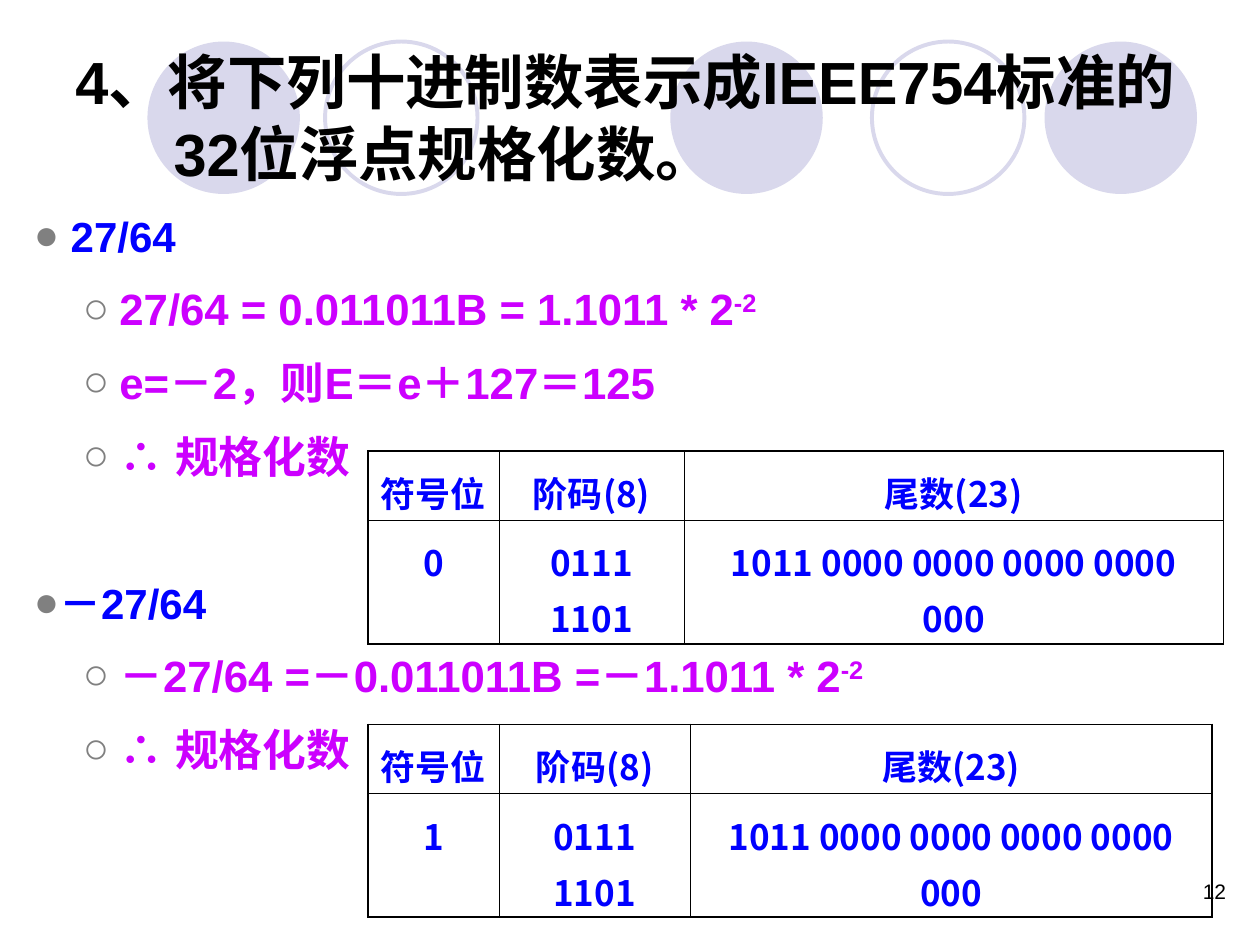
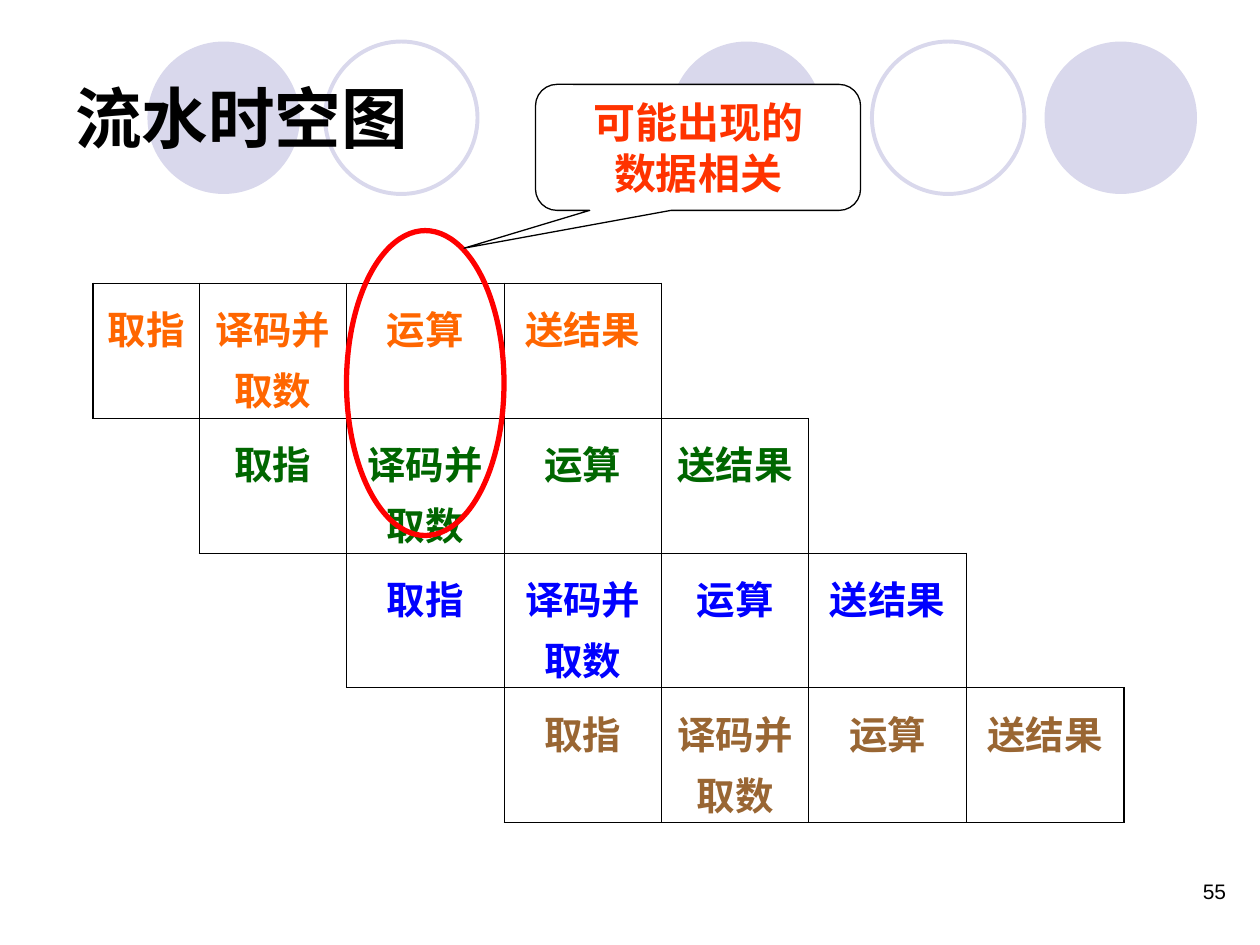
from dataclasses import dataclass
from typing import Optional

from lxml import etree
from pptx import Presentation
from pptx.dml.color import RGBColor
from pptx.enum.shapes import MSO_SHAPE
from pptx.enum.text import MSO_ANCHOR, PP_ALIGN
from pptx.oxml.ns import qn
from pptx.util import Inches, Pt

OVAL = MSO_SHAPE.OVAL
BALLOON = MSO_SHAPE.ROUNDED_RECTANGULAR_CALLOUT
MIDDLE = MSO_ANCHOR.MIDDLE
CENTER = PP_ALIGN.CENTER
RIGHT = PP_ALIGN.RIGHT

BLACK = RGBColor(0x00, 0x00, 0x00)
WHITE = RGBColor(0xFF, 0xFF, 0xFF)
LILAC = RGBColor(0xD9, 0xD8, 0xEC)
GRAY = RGBColor(0x80, 0x80, 0x80)
BLUE = RGBColor(0x00, 0x00, 0xFF)
PURPLE = RGBColor(0xCC, 0x00, 0xFF)
ORANGE = RGBColor(0xFF, 0x66, 0x00)
GREEN = RGBColor(0x00, 0x66, 0x00)
BROWN = RGBColor(0x99, 0x66, 0x33)
RED = RGBColor(0xFF, 0x00, 0x00)
SCARLET = RGBColor(0xFF, 0x33, 0x00)

LATIN = "Arial"
HAN = "Noto Sans CJK SC"
THICK, THIN = 1.08, 0.45
STAGES = ["取指", "译码并取数", "运算", "送结果"]


@dataclass
class Face:
    size: float
    color: RGBColor
    bold: bool = True
    latin: str = LATIN
    asian: str = LATIN


@dataclass
class Box:
    left: float
    top: float
    width: float
    height: float

    def place(self) -> tuple:
        return tuple(Inches(v) for v in (self.left, self.top, self.width, self.height))


@dataclass
class Level:
    face: Face
    mark: str
    margin: float
    indent: float
    space: float


@dataclass
class Item:
    level: Level
    text: str
    power: str = ""
    before: Optional[float] = None


@dataclass
class Cell:
    text: str
    face: Face


@dataclass
class Grid:
    left: float
    top: float
    widths: list
    heights: list
    rows: list
    inset: float
    space: float
    fill: Optional[RGBColor] = None


@dataclass
class Ring:
    left: float
    solid: bool


RINGS = [Ring(5.32, True), Ring(8.29, True), Ring(1.17, True),
         Ring(6.92, False), Ring(2.58, False)]
POINT = Level(Face(24, BLUE), "●", 0.19, -0.19, 4.5)
STEP = Level(Face(25, PURPLE), "○", 0.68, -0.29, 4.6)
ITEMS = [
    Item(POINT, " 27/64", before=0),
    Item(STEP, "27/64 = 0.011011B = 1.1011 * 2", "-2"),
    Item(STEP, "e=－2，则E＝e＋127＝125"),
    Item(STEP, "∴ 规格化数"),
    Item(POINT, "－27/64", before=47),
    Item(STEP, "－27/64 =－0.011011B =－1.1011 * 2", "-2"),
    Item(STEP, "∴ 规格化数"),
]


def add_run(para, text: str, face: Face, raised: bool = False) -> None:
    run = para.add_run()
    run.text = text
    font = run.font
    font.size = Pt(face.size)
    font.bold = face.bold
    font.color.rgb = face.color
    font.name = face.latin
    props = run._r.get_or_add_rPr()
    etree.SubElement(props, qn("a:ea")).set("typeface", face.asian)
    if raised:
        props.set("baseline", "30000")


def set_gaps(para, before: float, after: float) -> None:
    para.line_spacing = 1.1
    para.space_before = Pt(before)
    para.space_after = Pt(after)


def set_indent(para, margin: float, indent: float):
    props = para._p.get_or_add_pPr()
    props.set("marL", str(Inches(margin)))
    props.set("indent", str(Inches(indent)))
    return props


def add_frame(slide, box: Box):
    frame = slide.shapes.add_textbox(*box.place()).text_frame
    frame.word_wrap = True
    return frame


def add_form(slide, kind, box: Box, fill: Optional[RGBColor],
             line: Optional[RGBColor], width: float = 0):
    form = slide.shapes.add_shape(kind, *box.place())
    form.shadow.inherit = False
    if fill is None:
        form.fill.background()
    else:
        form.fill.solid()
        form.fill.fore_color.rgb = fill
    if line is None:
        form.line.fill.background()
    else:
        form.line.color.rgb = line
        form.line.width = Pt(width)
    return form


def add_base(deck, title: str, size: float, number: str, hang: float = 0):
    slide = deck.slides.add_slide(deck.slide_layouts[6])
    for ring in RINGS:
        box = Box(ring.left, 0.33, 1.21, 1.21)
        if ring.solid:
            add_form(slide, OVAL, box, LILAC, None)
        else:
            add_form(slide, OVAL, box, None, LILAC, 2.25)
    para = add_frame(slide, Box(7.5, 6.92, 2.33, 0.5)).paragraphs[0]
    para.alignment = RIGHT
    add_run(para, number, Face(12, BLACK, False))
    frame = add_frame(slide, Box(0.5, 0.3, 9, 1.25))
    frame.vertical_anchor = MIDDLE
    para = frame.paragraphs[0]
    set_indent(para, hang, -hang)
    add_run(para, title, Face(size, BLACK))
    return slide


def add_items(slide, box: Box, items: list) -> None:
    frame = add_frame(slide, box)
    for i, item in enumerate(items):
        para = frame.add_paragraph() if i else frame.paragraphs[0]
        level = item.level
        para.level = int(level is STEP)
        before = level.space if item.before is None else item.before
        set_gaps(para, before, level.space)
        props = set_indent(para, level.margin, level.indent)
        tint = etree.SubElement(props, qn("a:buClr"))
        etree.SubElement(tint, qn("a:srgbClr")).set("val", str(GRAY))
        etree.SubElement(props, qn("a:buFont")).set("typeface", LATIN)
        etree.SubElement(props, qn("a:buChar")).set("char", level.mark)
        add_run(para, item.text, level.face)
        if item.power:
            add_run(para, item.power, level.face, True)


def add_edge(cell, side: str, width: float) -> None:
    line = etree.SubElement(cell._tc.get_or_add_tcPr(), qn("a:ln" + side))
    line.set("w", str(Pt(width)))
    if width:
        fill = etree.SubElement(line, qn("a:solidFill"))
        etree.SubElement(fill, qn("a:srgbClr")).set("val", str(BLACK))
    else:
        etree.SubElement(line, qn("a:noFill"))


def edge_width(rows: list, row: int, col: int, down: int, over: int) -> float:
    near_row, near_col = row + down, col + over
    inside = 0 <= near_row < len(rows) and 0 <= near_col < len(rows[0])
    if not inside:
        return THICK if rows[row][col] else 0
    return THIN if rows[row][col] or rows[near_row][near_col] else 0


def add_grid(slide, grid: Grid) -> None:
    box = Box(grid.left, grid.top, sum(grid.widths), sum(grid.heights))
    table = slide.shapes.add_table(len(grid.rows), len(grid.widths), *box.place()).table
    table.first_row = False
    table.horz_banding = False
    for col, width in zip(table.columns, grid.widths):
        col.width = Inches(width)
    for row, height in zip(table.rows, grid.heights):
        row.height = Inches(height)
    sides = [("L", 0, -1), ("R", 0, 1), ("T", -1, 0), ("B", 1, 0)]
    for r, row in enumerate(grid.rows):
        for c, entry in enumerate(row):
            cell = table.cell(r, c)
            cell.margin_left = cell.margin_right = Inches(grid.inset)
            cell.margin_top = Inches(0.05) + Pt(grid.space)
            for side, down, over in sides:
                add_edge(cell, side, edge_width(grid.rows, r, c, down, over))
            if grid.fill is None:
                cell.fill.background()
            else:
                cell.fill.solid()
                cell.fill.fore_color.rgb = grid.fill
            if entry:
                para = cell.text_frame.paragraphs[0]
                para.alignment = CENTER
                set_gaps(para, 0, grid.space)
                add_run(para, entry.text, entry.face)


def float_grid(top: float, widths: list, sign: str) -> Grid:
    face = Face(20, BLUE, latin=HAN, asian=HAN)
    texts = [["符号位", "阶码(8)", "尾数(23)"],
             [sign, "0111 1101", "1011 0000 0000 0000 0000 000"]]
    rows = [[Cell(text, face) for text in row] for row in texts]
    return Grid(2.92, top, widths, [0.55, 0.98], rows, 0.1, 2.5)


def stage_grid() -> Grid:
    widths = [0.84, 1.17, 1.25, 1.25, 1.17, 1.25, 1.25]
    rows = []
    for shift, color in enumerate([ORANGE, GREEN, BLUE, BROWN]):
        row = [None] * len(widths)
        face = Face(22, color, asian=HAN)
        row[shift:shift + len(STAGES)] = [Cell(text, face) for text in STAGES]
        rows.append(row)
    return Grid(0.74, 2.25, widths, [1.07] * len(rows), rows, 0.04, 2.8, WHITE)


def add_floats(deck) -> None:
    title = "4、将下列十进制数表示成IEEE754标准的32位浮点规格化数。"
    slide = add_base(deck, title, 34, "12", 0.78)
    add_items(slide, Box(0.17, 1.58, 9.83, 5.33), ITEMS)
    add_grid(slide, float_grid(3.58, [1.04, 1.47, 4.28], "0"))
    add_grid(slide, float_grid(5.75, [1.04, 1.52, 4.14], "1"))


def add_stages(deck) -> None:
    slide = add_base(deck, "流水时空图", 38, "55")
    add_grid(slide, stage_grid())
    add_form(slide, OVAL, Box(2.75, 1.83, 1.25, 2.42), None, RED, 3)
    note = add_form(slide, BALLOON, Box(4.25, 0.67, 2.58, 1), WHITE, BLACK, 0.75)
    for i, value in enumerate([-0.72, 0.8, 0.17]):
        note.adjustments[i] = value
    frame = note.text_frame
    frame.word_wrap = True
    frame.vertical_anchor = MIDDLE
    for i, text in enumerate(["可能出现的", "数据相关"]):
        para = frame.add_paragraph() if i else frame.paragraphs[0]
        para.alignment = CENTER
        add_run(para, text, Face(24, SCARLET))


def main() -> None:
    deck = Presentation()
    deck.slide_width = Inches(10)
    deck.slide_height = Inches(7.5)
    add_floats(deck)
    add_stages(deck)
    deck.save("out.pptx")


if __name__ == "__main__":
    main()
